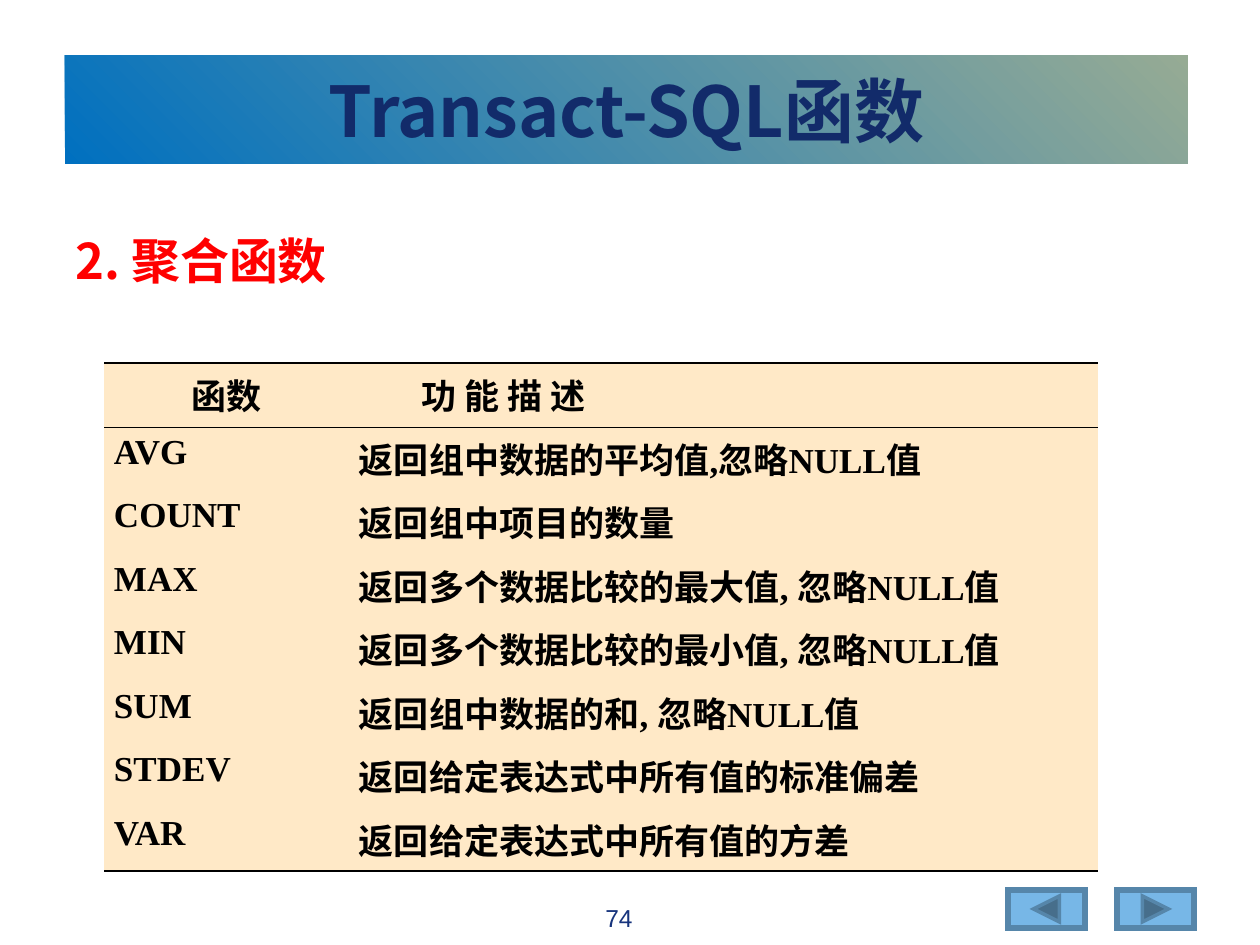
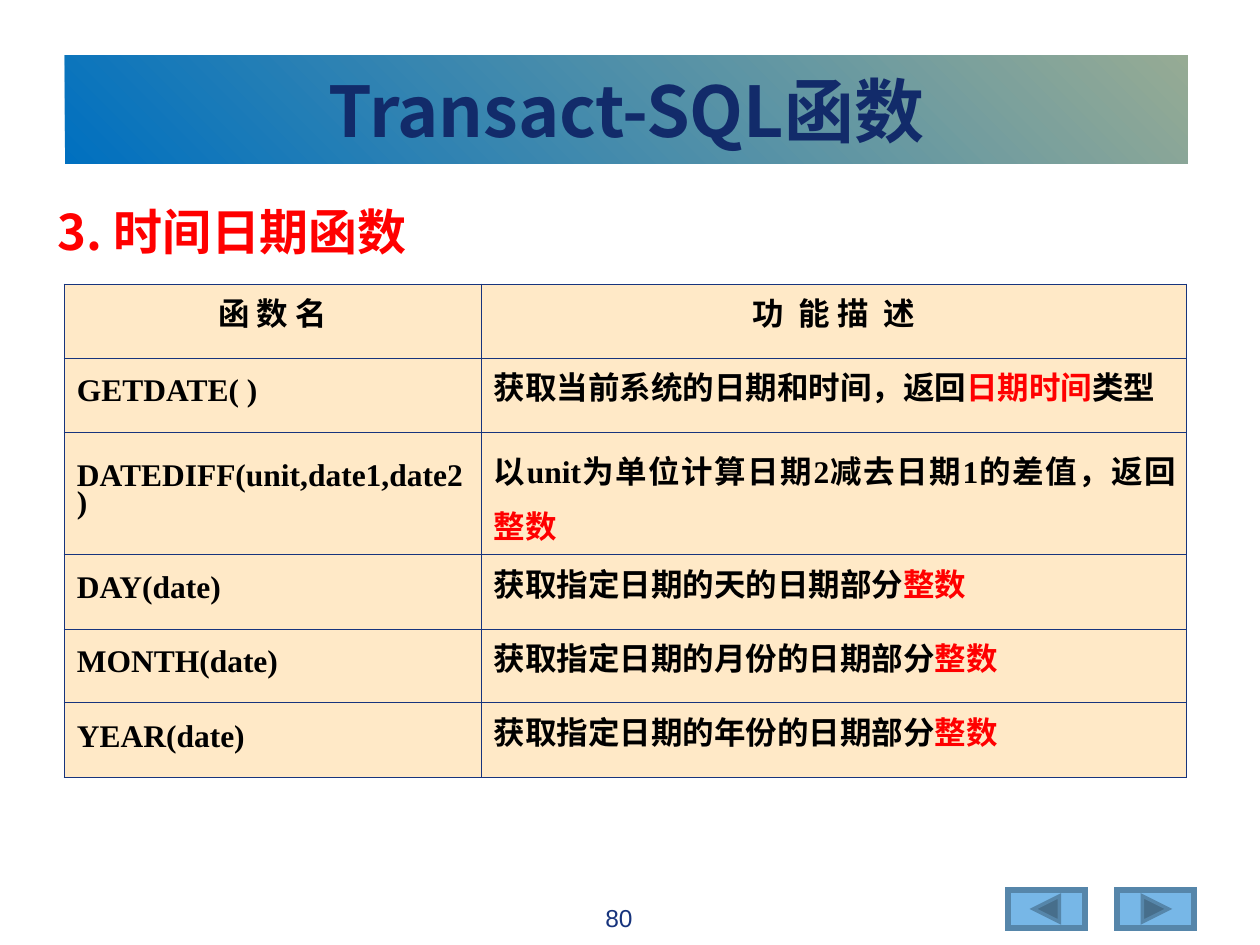
from dataclasses import dataclass
from itertools import cycle

from lxml.etree import SubElement
from pptx import Presentation
from pptx.dml.color import RGBColor
from pptx.enum.shapes import MSO_SHAPE as Shape
from pptx.enum.text import MSO_ANCHOR as Anchor, PP_ALIGN as Align
from pptx.oxml.ns import qn
from pptx.util import Pt

SCALE = 914400 / 126  # EMU in one px
SLIDE_SIZE = (1260, 945)


@dataclass(frozen=True)
class Theme:
    band_start: str = "0070C0"
    band_end: str = "96AB94"
    title: str = "122B6A"
    accent: str = "FF0000"
    ink: str = "000000"
    navy: str = "17347D"
    cell: str = "FFE9C7"
    button: str = "77B7E7"
    button_edge: str = "5686AA"
    arrow: str = "476E8B"
    cjk: str = "Noto Sans CJK SC"
    serif: str = "Times New Roman"
    sans: str = "Arial"
    title_size: int = 40
    heading_size: int = 28
    aggregate_size: int = 20
    date_size: int = 18
    page_size: int = 14
    thick: float = 0.75
    thin: float = 0.45
    wide_gap: int = 440  # extra width of a lone space, in 1/100 pt


THEME = Theme()

AGGREGATES = [
    ("函数", "功 能 描 述"),
    ("AVG", "返回组中数据的平均值,忽略NULL值"),
    ("COUNT", "返回组中项目的数量"),
    ("MAX", "返回多个数据比较的最大值, 忽略NULL值"),
    ("MIN", "返回多个数据比较的最小值, 忽略NULL值"),
    ("SUM", "返回组中数据的和, 忽略NULL值"),
    ("STDEV", "返回给定表达式中所有值的标准偏差"),
    ("VAR", "返回给定表达式中所有值的方差"),
]

# Parts alternate between plain and highlighted; a lone space is a wide gap
DATE_FUNCTIONS = [
    ("函 数 名", ("功", " ", "能 描", " ", "述")),
    ("GETDATE( )", ("获取当前系统的日期和时间，返回", "日期时间", "类型")),
    ("DATEDIFF(unit,date1,date2)",
     ("以unit为单位计算日期2减去日期1的差值，返回", "整数")),
    ("DAY(date)", ("获取指定日期的天的日期部分", "整数")),
    ("MONTH(date)", ("获取指定日期的月份的日期部分", "整数")),
    ("YEAR(date)", ("获取指定日期的年份的日期部分", "整数")),
]


def px(length):
    return round(length * SCALE)


def emu(*lengths):
    return [px(length) for length in lengths]


def rgb(color):
    return RGBColor.from_string(color)


def add_run(paragraph, text, size, face, color, bold=True):
    run = paragraph.add_run()
    run.text = text
    font = run.font
    font.size, font.name, font.bold = Pt(size), face, bold
    font.color.rgb = rgb(color)
    properties = run._r.get_or_add_rPr()
    SubElement(properties, qn("a:ea"), typeface=THEME.cjk)
    if text == " ":
        properties.set("spc", str(THEME.wide_gap))


def paint(shape, fill, edge):
    shape.shadow.inherit = False
    shape.fill.solid()
    shape.fill.fore_color.rgb = rgb(fill)
    shape.line.color.rgb = rgb(edge)
    shape.line.width = Pt(2)
    SubElement(shape.line._get_or_add_ln(), qn("a:miter"), lim="800000")


# Parts shared by the slides
def add_title_band(slide, box, title):
    band = slide.shapes.add_shape(Shape.RECTANGLE, *emu(*box))
    band.shadow.inherit = False
    band.line.fill.background()
    band.fill.gradient()
    band.fill.gradient_angle = 45
    ends = ((0, THEME.band_start), (1, THEME.band_end))
    for stop, (position, color) in zip(band.fill.gradient_stops, ends):
        stop.position = position
        stop.color.rgb = rgb(color)
    band.text_frame.vertical_anchor = Anchor.MIDDLE
    paragraph = band.text_frame.paragraphs[0]
    paragraph.alignment = Align.CENTER
    add_run(paragraph, title, THEME.title_size, THEME.cjk, THEME.title)


def add_line(slide, box, text, size, face, color, align, bold):
    frame = slide.shapes.add_textbox(*emu(*box)).text_frame
    frame.word_wrap = True
    paragraph = frame.paragraphs[0]
    paragraph.alignment = align
    add_run(paragraph, text, size, face, color, bold)


def add_heading(slide, box, text):
    add_line(slide, box, text, THEME.heading_size, THEME.cjk, THEME.accent,
             Align.LEFT, True)


def add_page_number(slide, box, number):
    add_line(slide, box, str(number), THEME.page_size, THEME.sans, THEME.navy,
             Align.CENTER, False)


def add_nav_button(slide, box, forward):
    left, top, width, height = box
    button = slide.shapes.add_shape(Shape.BEVEL, *emu(*box))
    button.adjustments[0] = 0.06
    paint(button, THEME.button, THEME.button_edge)

    # Arrowhead centred on the button
    half = 13
    middle_x, middle_y = left + width / 2, top + height / 2
    tip = half if forward else -half
    outline = slide.shapes.build_freeform(*emu(middle_x - tip, middle_y - half))
    outline.add_line_segments([emu(middle_x + tip, middle_y),
                               emu(middle_x - tip, middle_y + half)])
    paint(outline.convert_to_shape(), THEME.arrow, THEME.button_edge)


def add_frame(slide, page):
    add_title_band(slide, (65, 55, 1123, 109), "Transact-SQL函数")
    for column, forward in enumerate((False, True)):
        add_nav_button(slide, (1007 + 109 * column, 889, 79, 40), forward)
    add_page_number(slide, (472, 897, 294, 43), page)


# Tables
def set_borders(cell, borders):
    """Draw the sides named in borders as (colour, points); hide the others."""
    properties = cell._tc.get_or_add_tcPr()
    for side in "LRTB":
        color, points = borders.get(side, (None, 0))
        line = SubElement(properties, qn(f"a:ln{side}"), w=str(Pt(points)))
        if color:
            fill = SubElement(line, qn("a:solidFill"))
            SubElement(fill, qn("a:srgbClr"), val=color)
        else:
            SubElement(line, qn("a:noFill"))


def add_grid(slide, left, top, widths, heights):
    table = slide.shapes.add_table(
        len(heights), len(widths),
        *emu(left, top, sum(widths), sum(heights))).table
    table.first_row = table.horz_banding = False
    for column, width in zip(table.columns, widths):
        column.width = px(width)
    for row, height in zip(table.rows, heights):
        row.height = px(height)
    return table


def fill_cell(cell, parts, size, face, align, borders, indent=0,
              anchor=Anchor.TOP, spacing=None):
    set_borders(cell, borders)
    cell.fill.solid()
    cell.fill.fore_color.rgb = rgb(THEME.cell)
    cell.margin_left = cell.margin_right = px(10)
    cell.margin_top = cell.margin_bottom = px(6)
    cell.vertical_anchor = anchor
    paragraph = cell.text_frame.paragraphs[0]
    paragraph.alignment = align
    paragraph.line_spacing = spacing
    if indent:
        paragraph._p.get_or_add_pPr().set("marL", str(px(indent)))
    parts = (parts,) if isinstance(parts, str) else parts
    for text, color in zip(parts, cycle((THEME.ink, THEME.accent))):
        add_run(paragraph, text, size, face, color)


def add_aggregate_table(slide, left, top):
    last = len(AGGREGATES) - 1
    heights = [63 if r % 2 else 64 for r in range(last + 1)]
    table = add_grid(slide, left, top, (245, 749), heights)
    thick, thin = (THEME.ink, THEME.thick), (THEME.ink, THEME.thin)
    rules = {0: {"T": thick, "B": thin}, 1: {"T": thin}, last: {"B": thick}}
    for r, texts in enumerate(AGGREGATES):
        for c, text in enumerate(texts):
            header = r == 0
            fill_cell(table.cell(r, c), text, THEME.aggregate_size, THEME.serif,
                      Align.CENTER if header and c == 0 else Align.JUSTIFY,
                      rules.get(r, {}), indent=63 if header and c == 1 else 0)


def add_date_table(slide, left, top):
    two_line_row = 2
    heights = [74, 74, 122, 75, 74, 75]
    table = add_grid(slide, left, top, (417, 705), heights)
    borders = dict.fromkeys("LRTB", (THEME.navy, THEME.thin))
    for r, texts in enumerate(DATE_FUNCTIONS):
        for c, parts in enumerate(texts):
            header = r == 0
            fill_cell(table.cell(r, c), parts, THEME.date_size,
                      THEME.sans if header else THEME.serif,
                      Align.CENTER if header else Align.JUSTIFY,
                      borders, indent=0 if header else 3, anchor=Anchor.MIDDLE,
                      spacing=1.2 if (r, c) == (two_line_row, 1) else Pt(15.6))


# Slides
def add_aggregate_slide(slide):
    add_frame(slide, 74)
    add_heading(slide, (63, 224, 1158, 87), "2. 聚合函数")
    add_aggregate_table(slide, 104, 363)


def add_date_slide(slide):
    add_frame(slide, 80)
    add_heading(slide, (45, 195, 1158, 87), "3. 时间日期函数")
    add_date_table(slide, 64, 284)


def main():
    deck = Presentation()
    deck.slide_width, deck.slide_height = emu(*SLIDE_SIZE)
    blank = deck.slide_layouts[6]
    for build in (add_aggregate_slide, add_date_slide):
        build(deck.slides.add_slide(blank))
    deck.save("out.pptx")


if __name__ == "__main__":
    main()
